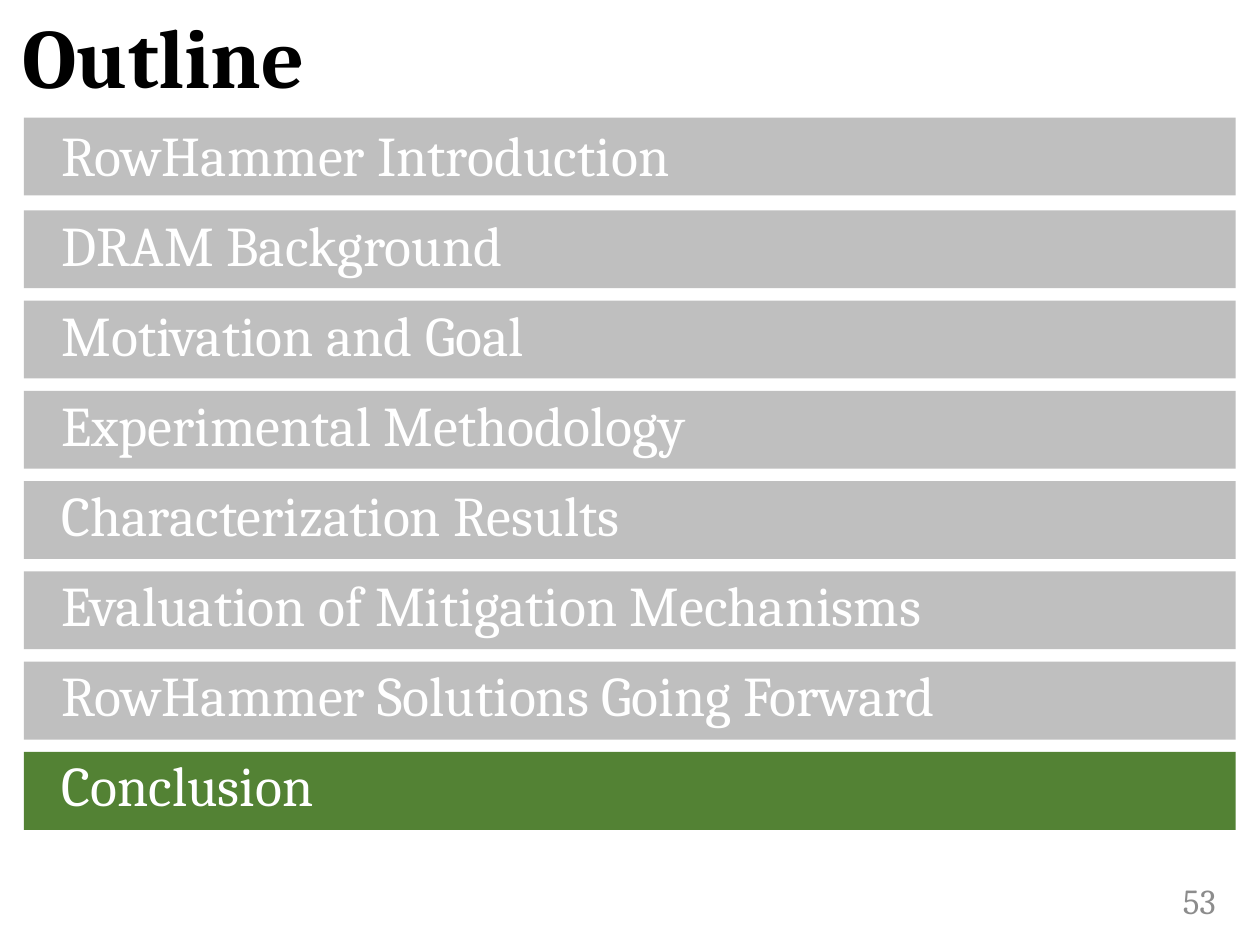
from dataclasses import dataclass

from pptx import Presentation
from pptx.dml.color import RGBColor
from pptx.enum.shapes import MSO_SHAPE
from pptx.enum.text import MSO_ANCHOR, MSO_AUTO_SIZE, PP_ALIGN
from pptx.util import Cm, Pt

RECTANGLE = MSO_SHAPE.RECTANGLE
TOP, MIDDLE = MSO_ANCHOR.TOP, MSO_ANCHOR.MIDDLE
LEFT, RIGHT = PP_ALIGN.LEFT, PP_ALIGN.RIGHT
NO_AUTOFIT = MSO_AUTO_SIZE.NONE
TITLE_ONLY = 5


@dataclass(frozen=True)
class Theme:
    font: str = "Cambria"
    ink: RGBColor = RGBColor(0x00, 0x00, 0x00)
    light: RGBColor = RGBColor(0xFF, 0xFF, 0xFF)
    muted: RGBColor = RGBColor(0x8C, 0x8C, 0x8C)
    inactive: RGBColor = RGBColor(0xBF, 0xBF, 0xBF)
    active: RGBColor = RGBColor(0x53, 0x82, 0x34)
    title_size: int = 48
    topic_size: int = 32
    number_size: int = 20
    topic_gap: int = 13


@dataclass(frozen=True)
class Area:
    left: float
    top: float
    width: float
    height: float


THEME = Theme()
TITLE_AREA = Area(0.2, 0.2, 24.97, 2.06)
TOPICS_AREA = Area(0.99, 2.31, 22.56, 14.78)
NUMBER_AREA = Area(22.02, 17.65, 2.74, 1.02)
BAR_LEFT, BAR_WIDTH, BAR_HEIGHT = 0.48, 24.43, 1.57
FIRST_BAR_TOP, SECOND_BAR_TOP, BAR_PITCH = 2.37, 4.24, 1.82

TOPICS = [
    "RowHammer Introduction",
    "DRAM Background",
    "Motivation and Goal",
    "Experimental Methodology",
    "Characterization Results",
    "Evaluation of Mitigation Mechanisms",
    "RowHammer Solutions Going Forward",
    "Conclusion",
]
CURRENT_TOPIC = "Conclusion"


def place(shape, area: Area) -> None:
    shape.left, shape.top = Cm(area.left), Cm(area.top)
    shape.width, shape.height = Cm(area.width), Cm(area.height)


def add_bar(page, area: Area, color: RGBColor) -> None:
    bar = page.shapes.add_shape(RECTANGLE, 0, 0, 0, 0)
    place(bar, area)
    bar.shadow.inherit = False
    bar.fill.solid()
    bar.fill.fore_color.rgb = color
    bar.line.fill.background()


def write(box, lines: list[str], size: int, color: RGBColor, align=LEFT,
          anchor=TOP, bold: bool = False, gap: int = 0) -> None:
    frame = box.text_frame
    frame.word_wrap = True
    frame.auto_size = NO_AUTOFIT
    frame.vertical_anchor = anchor
    for index, line in enumerate(lines):
        para = frame.add_paragraph() if index else frame.paragraphs[0]
        para.text = line
        para.alignment = align
        para.space_before = Pt(gap if index else 0)
        para.font.name = THEME.font
        para.font.size = Pt(size)
        para.font.bold = bold
        para.font.color.rgb = color


def add_text(page, area: Area, lines: list[str], size: int,
             color: RGBColor, **options) -> None:
    box = page.shapes.add_textbox(0, 0, 0, 0)
    place(box, area)
    write(box, lines, size, color, **options)


def main() -> None:
    deck = Presentation()
    deck.slide_width, deck.slide_height = Cm(25.4), Cm(19.05)
    page = deck.slides.add_slide(deck.slide_layouts[TITLE_ONLY])

    # Title
    title = page.shapes.title
    place(title, TITLE_AREA)
    write(title, ["Outline"], THEME.title_size, THEME.ink, bold=True)
    title.text_frame.paragraphs[0].line_spacing = 0.9

    # One bar per topic, the current one highlighted
    for index, topic in enumerate(TOPICS):
        top = SECOND_BAR_TOP + (index - 1) * BAR_PITCH if index else FIRST_BAR_TOP
        color = THEME.active if topic == CURRENT_TOPIC else THEME.inactive
        add_bar(page, Area(BAR_LEFT, top, BAR_WIDTH, BAR_HEIGHT), color)

    # Topic list over the bars
    add_text(page, TOPICS_AREA, TOPICS, THEME.topic_size, THEME.light,
             gap=THEME.topic_gap)

    # Page number
    add_text(page, NUMBER_AREA, ["53"], THEME.number_size, THEME.muted,
             align=RIGHT, anchor=MIDDLE)

    deck.save("out.pptx")


if __name__ == "__main__":
    main()
